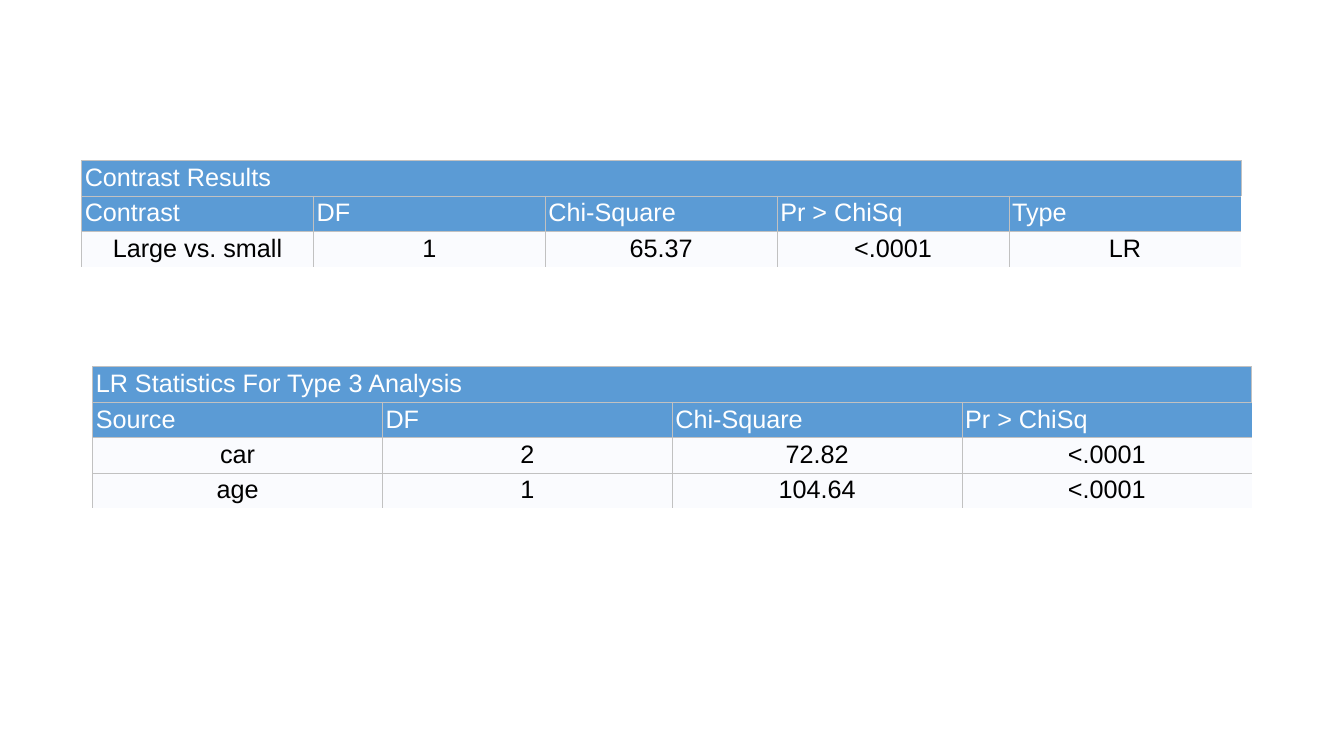
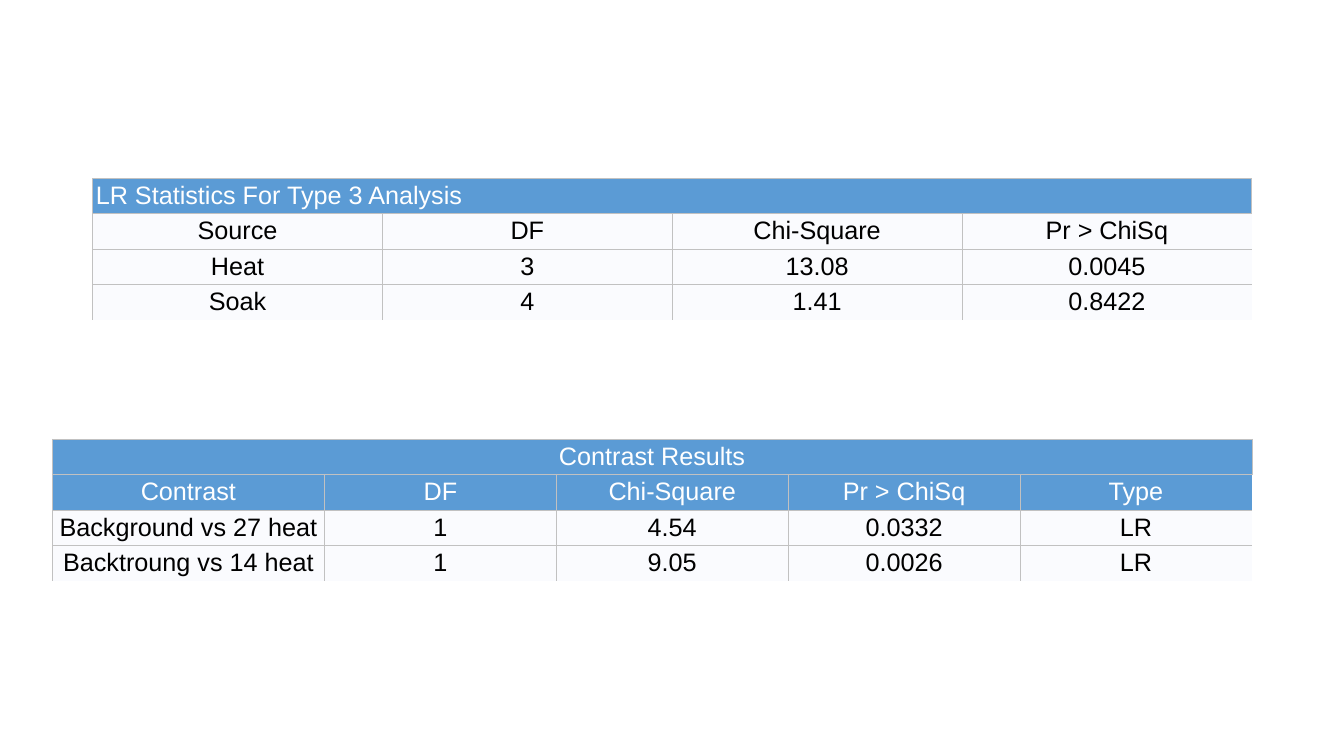
import dataclasses

import lxml.etree
import pptx
import pptx.dml.color
import pptx.enum.text
import pptx.oxml.ns
import pptx.util

Pt = pptx.util.Pt
Align = pptx.enum.text.PP_ALIGN


@dataclasses.dataclass(frozen=True)
class Theme:
    """Colours, type and measures (in points) shared by all slides."""
    heading_fill: str = "5B9BD5"
    heading_text: str = "FFFFFF"
    body_fill: str = "FAFBFE"
    body_text: str = "000000"
    rule: str = "C1C1C1"
    rule_width: float = 0.5
    font: str = "Arial"
    size: float = 18
    inset: float = 2.25
    row_height: float = 25.3
    table_width: float = 828
    slide_width: float = 960
    slide_height: float = 540


class Report:
    def __init__(self, theme):
        self.theme = theme
        self.deck = pptx.Presentation()
        self.deck.slide_width = Pt(theme.slide_width)
        self.deck.slide_height = Pt(theme.slide_height)
        self.page = None

    def add_page(self):
        self.page = self.deck.slides.add_slide(self.deck.slide_layouts[6])

    def add_results(self, left, top, title, rows, heading_rows=2,
                    heading_align=Align.LEFT, extra_first=0):
        """Add a table whose merged title row stands above the given rows."""
        count = len(rows[0])
        grid = [[title] + [""] * (count - 1)] + rows
        column_width = self.theme.table_width / count
        widths = [column_width + extra_first] + [column_width] * (count - 1)
        frame = self.page.shapes.add_table(
            len(grid), count, Pt(left), Pt(top), Pt(sum(widths)),
            Pt(self.theme.row_height * len(grid)))
        table = frame.table
        table.first_row = table.horz_banding = False
        for column, width in zip(table.columns, widths):
            column.width = Pt(width)
        for row in table.rows:
            row.height = Pt(self.theme.row_height)

        # Cells: ruled everywhere but the right and bottom edges
        for r, texts in enumerate(grid):
            heading = r < heading_rows
            for c, text in enumerate(texts):
                cell = table.cell(r, c)
                self.style_cell(cell, text, heading,
                                heading_align if heading else Align.CENTER)
                self.rule_cell(cell, right=c < count - 1, bottom=r < len(grid) - 1)
        table.cell(0, 0).merge(table.cell(0, count - 1))

    def style_cell(self, cell, text, heading, align):
        theme = self.theme
        fill, colour = ((theme.heading_fill, theme.heading_text) if heading
                        else (theme.body_fill, theme.body_text))
        cell.margin_left = cell.margin_right = Pt(theme.inset)
        cell.margin_top = cell.margin_bottom = Pt(theme.inset)
        cell.fill.solid()
        cell.fill.fore_color.rgb = pptx.dml.color.RGBColor.from_string(fill)
        para = cell.text_frame.paragraphs[0]
        para.alignment = align
        if text:
            span = para.add_run()
            span.text = text
            span.font.name = theme.font
            span.font.size = Pt(theme.size)
            span.font.bold = False
            span.font.color.rgb = pptx.dml.color.RGBColor.from_string(colour)

    def rule_cell(self, cell, right, bottom):
        qn = pptx.oxml.ns.qn
        properties = cell._tc.get_or_add_tcPr()
        sides = {"a:lnL": True, "a:lnR": right, "a:lnT": True, "a:lnB": bottom}
        for index, (side, drawn) in enumerate(sides.items()):
            line = lxml.etree.Element(qn(side), w=str(Pt(self.theme.rule_width)))
            if drawn:
                fill = lxml.etree.SubElement(line, qn("a:solidFill"))
                lxml.etree.SubElement(fill, qn("a:srgbClr"), val=self.theme.rule)
            else:
                lxml.etree.SubElement(line, qn("a:noFill"))
            properties.insert(index, line)


ANALYSIS_TITLE = "LR Statistics For Type 3 Analysis"
CONTRAST_TITLE = "Contrast Results"
STATISTICS = ["DF", "Chi-Square", "Pr > ChiSq"]
ANALYSIS_HEADER = ["Source"] + STATISTICS
CONTRAST_HEADER = ["Contrast"] + STATISTICS + ["Type"]


def main():
    report = Report(Theme())

    # Car and age model
    report.add_page()
    report.add_results(66.2, 261.9, ANALYSIS_TITLE, [
        ANALYSIS_HEADER,
        ["car", "2", "72.82", "<.0001"],
        ["age", "1", "104.64", "<.0001"],
    ])
    report.add_results(58.3, 114.6, CONTRAST_TITLE, [
        CONTRAST_HEADER,
        ["Large vs. small", "1", "65.37", "<.0001", "LR"],
    ])

    # Heat and soak model
    report.add_page()
    report.add_results(66.2, 127.4, ANALYSIS_TITLE, [
        ANALYSIS_HEADER,
        ["Heat", "3", "13.08", "0.0045"],
        ["Soak", "4", "1.41", "0.8422"],
    ], heading_rows=1)
    report.add_results(37.4, 313.8, CONTRAST_TITLE, [
        CONTRAST_HEADER,
        ["Background vs 27 heat", "1", "4.54", "0.0332", "LR"],
        ["Backtroung vs 14 heat", "1", "9.05", "0.0026", "LR"],
    ], heading_align=Align.CENTER, extra_first=28.8)

    report.deck.save("out.pptx")


if __name__ == "__main__":
    main()
